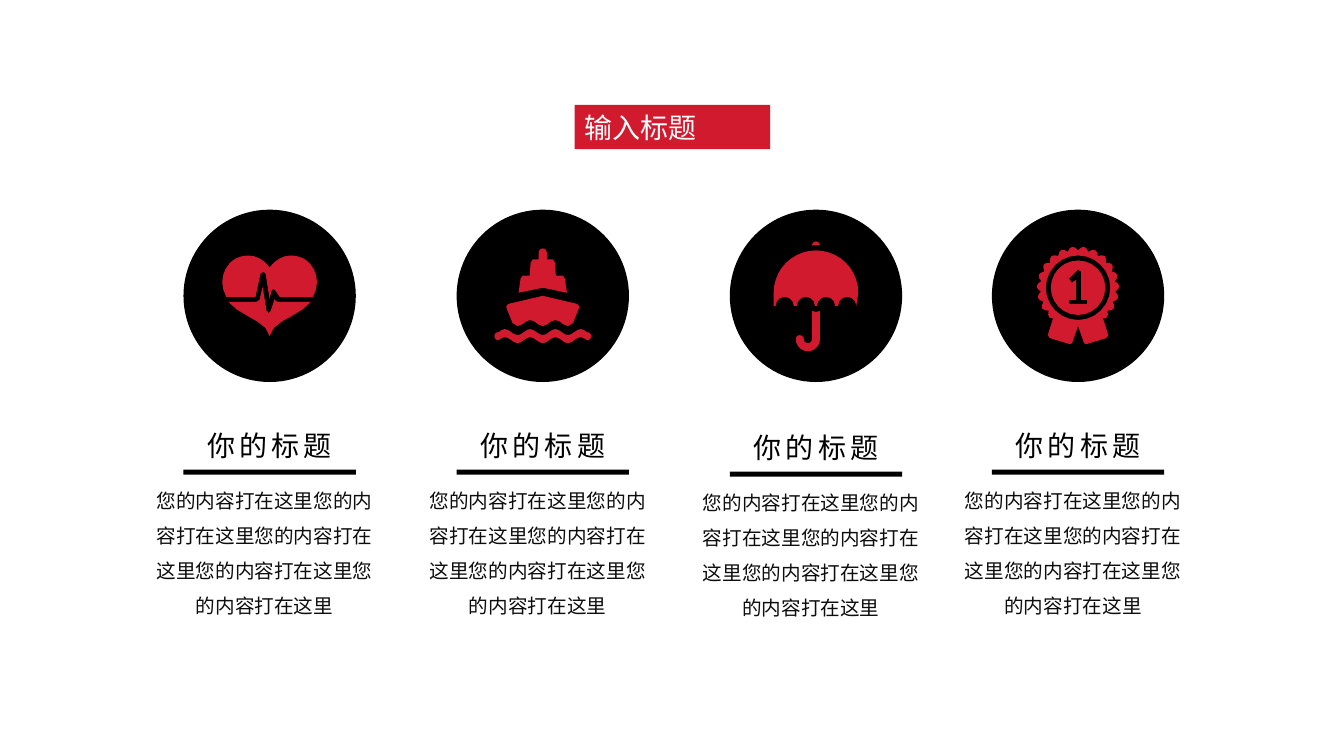
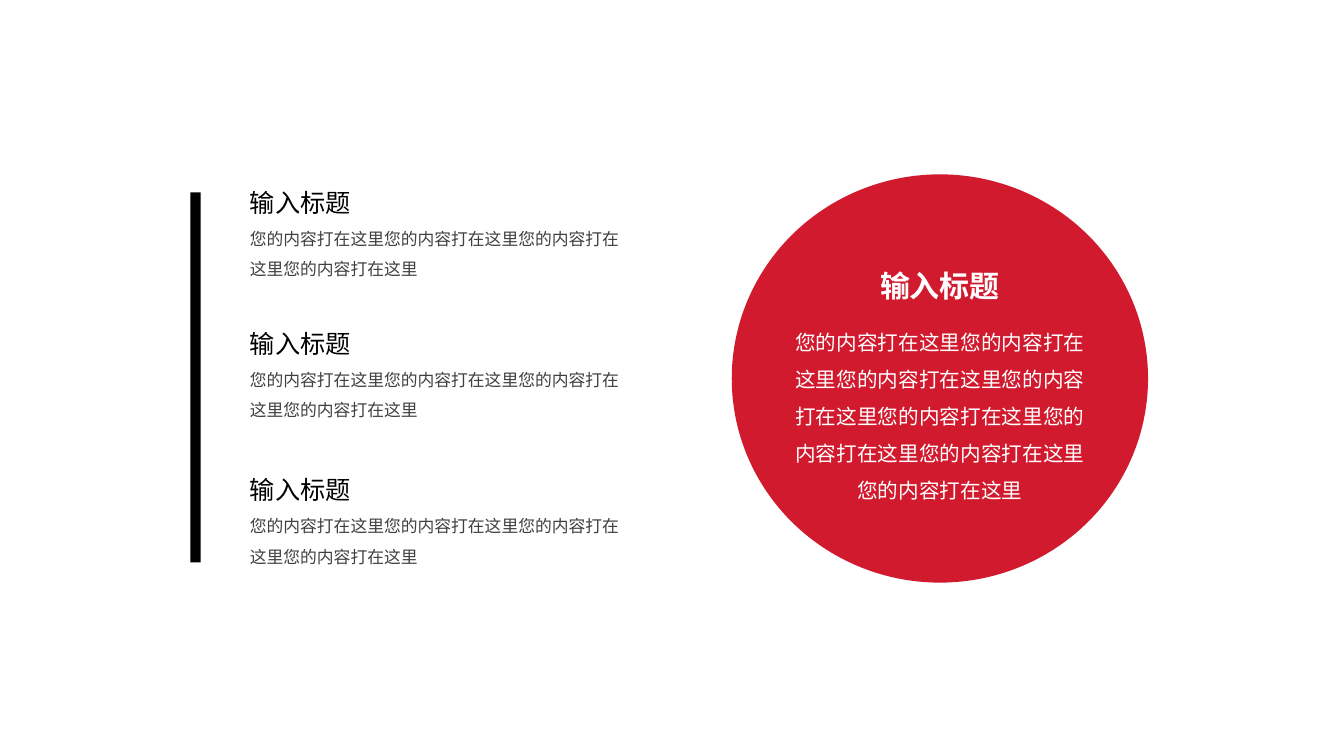
from math import cos, pi, radians, sin

from lxml import etree
from pptx import Presentation
from pptx.dml.color import RGBColor
from pptx.enum.shapes import MSO_SHAPE
from pptx.enum.text import MSO_ANCHOR, PP_ALIGN
from pptx.oxml.ns import qn
from pptx.util import Inches, Pt

RECT, OVAL = MSO_SHAPE.RECTANGLE, MSO_SHAPE.OVAL
LEFT, CENTER = PP_ALIGN.LEFT, PP_ALIGN.CENTER
TOP, MIDDLE = MSO_ANCHOR.TOP, MSO_ANCHOR.MIDDLE

RED = RGBColor(0xD1, 0x1A, 0x2E)
BLACK = RGBColor(0x00, 0x00, 0x00)
INK = RGBColor(0x0D, 0x0D, 0x0D)
GRAY = RGBColor(0x40, 0x40, 0x40)
WHITE = RGBColor(0xFF, 0xFF, 0xFF)
FONT = "Noto Sans CJK SC"

TITLE = "输入标题"
HEAD = "你的标题"
BODY = "您的内容打在这里"

DISC = 1.71
DISC_TOP = 2.08
UNIT = 1000  # freeform steps per inch


# Text and plain shapes
def style(frame, text, size, color, align=LEFT, font=FONT, bold=False,
          line=None, space=None):
    para = frame.paragraphs[0]
    para.text = text
    para.alignment = align
    if line:
        para.line_spacing = line
    para.font.size = Pt(size)
    para.font.bold = bold
    para.font.color.rgb = color
    para.font.name = font
    props = para._p.pPr.find(qn("a:defRPr"))
    etree.SubElement(props, qn("a:ea")).set("typeface", font)
    if space:
        props.set("spc", str(space * 100))


def add_text(slide, box, text, size, color, anchor=TOP, **look):
    frame = slide.shapes.add_textbox(*map(Inches, box)).text_frame
    frame.word_wrap = True
    frame.vertical_anchor = anchor
    style(frame, text, size, color, **look)


def paint(shape, color):
    shape.shadow.inherit = False
    shape.fill.solid()
    shape.fill.fore_color.rgb = color
    shape.line.fill.background()
    return shape


def add_shape(slide, kind, box, color):
    return paint(slide.shapes.add_shape(kind, *map(Inches, box)), color)


# Outlines, in inches from the centre of a disc
def arc(x, y, r, start, end, steps=6):
    turns = [radians(start + (end - start) * i / steps)
             for i in range(steps + 1)]
    return [(x + r * cos(t), y + r * sin(t)) for t in turns]


def curve(a, b, c, d, steps=5):
    points = []
    for i in range(steps + 1):
        t = i / steps
        u = 1 - t
        mix = (u ** 3, 3 * u * u * t, 3 * u * t * t, t ** 3)
        points.append(tuple(sum(m * p[k] for m, p in zip(mix, (a, b, c, d)))
                            for k in (0, 1)))
    return points


def wave(level, reach, steps):
    xs = [reach * (2 * i / steps - 1) for i in range(steps + 1)]
    return [(x, level + 0.03 * cos(8 * pi * x)) for x in xs]


def flip(points):
    return [(-x, y) for x, y in reversed(points)]


def mirror(half):
    return half + flip(half)


def add_icon(slide, x, y, outlines):
    build = None
    for outline in outlines:
        points = [(round(a * UNIT), round(b * UNIT)) for a, b in outline]
        if build is None:
            build = slide.shapes.build_freeform(
                *points[0], scale=Inches(1) / UNIT)
        else:
            build.move_to(*points[0])
        build.add_line_segments(points[1:], close=True)
    paint(build.convert_to_shape(Inches(x), Inches(y)), RED)


# Icons
def heart():
    lobe = (curve((0, -0.28), (0.03, -0.32), (0.1, -0.4), (0.21, -0.4))
            + curve((0.21, -0.4), (0.29, -0.4), (0.35, -0.37), (0.4, -0.32))
            + curve((0.4, -0.32), (0.47, -0.24), (0.5, -0.11), (0.43, 0.01)))
    pulse = [(0.1, 0.01), (0.06, -0.05), (0.04, -0.07), (0.02, -0.05),
             (0, 0.03), (-0.04, -0.22), (-0.06, -0.24), (-0.09, -0.22),
             (-0.14, 0.01)]
    beat = [(-0.13, 0.06), (-0.1, 0.04), (-0.07, -0.09), (-0.03, 0.15),
            (-0.01, 0.17), (0.01, 0.15), (0.05, 0.03), (0.06, 0.05),
            (0.08, 0.06)]
    point = curve((0.41, 0.06), (0.3, 0.2), (0.02, 0.25), (0, 0.4))
    return [lobe + pulse + flip(lobe), beat + mirror(point)]


def ship():
    tower = arc(0, -0.43, 0.04, -90, 0, 3) + [
        (0.04, -0.36), (0.1, -0.36), (0.12, -0.33), (0.13, -0.2),
        (0.2, -0.2), (0.22, -0.17), (0.24, -0.03), (0, -0.08)]
    side = [(0, 0), (0.34, 0.08), (0.36, 0.1), (0.36, 0.12), (0.3, 0.27)]
    hull = side + wave(0.27, 0.25, 12)[::-1] + flip(side)
    crest, base = wave(0.36, 0.44, 28), wave(0.44, 0.44, 28)
    sea = (crest + arc(0.44, 0.4, 0.04, -90, 90)
           + base[::-1] + arc(-0.44, 0.4, 0.04, 90, 270))
    return [mirror(tower), hull, sea]


def umbrella():
    canopy = arc(0, -0.03, 0.42, 180, 360, 20)
    for x in (0.31, 0.1, -0.1, -0.31):
        canopy += arc(x, 0.1, 0.09, 0, -180)
    canopy.append((-0.42, 0.1))
    handle = ([(-0.04, 0.15), (0, 0.16), (0.04, 0.15)]
              + arc(-0.08, 0.43, 0.12, 0, 180, 10)
              + arc(-0.16, 0.43, 0.04, 180, 360)
              + arc(-0.08, 0.43, 0.04, 180, 0))
    tip = arc(0, -0.5, 0.04, 180, 360)
    return [canopy, handle, tip]


def badge():
    mid, bump = -0.08, 16
    edge = []
    for turn in range(-9 * bump, 9 * bump + 1, 4):
        r = 0.37 + 0.04 * abs(sin(pi * turn / bump))
        edge.append((r * sin(radians(turn)), mid - r * cos(radians(turn))))
    tail = [(0.25, 0.23), (0.3, 0.39), (0.28, 0.42), (0.08, 0.48),
            (0.06, 0.47), (0, 0.3)]
    one = [(-0.09, 0.08), (0.09, 0.08), (0.09, 0.04), (0.03, 0.04),
           (0.03, -0.24), (0, -0.26), (-0.09, -0.17), (-0.06, -0.13),
           (-0.02, -0.16), (-0.02, 0.04), (-0.09, 0.04)]
    rings = [arc(0, mid, r, 0, 360, 24) for r in (0.32, 0.27)]
    return [edge + mirror(tail), *rings, one]


# Parts of the slides
def add_column(slide, left, drop, icon):
    add_shape(slide, OVAL, (left, DISC_TOP, DISC, DISC), BLACK)
    add_icon(slide, left + DISC / 2, DISC_TOP + DISC / 2, icon())
    add_text(slide, (left, 4.15 + drop, DISC, 0.53), HEAD, 20, BLACK,
             MIDDLE, align=CENTER, space=3)
    add_shape(slide, RECT, (left, 4.66 + drop, DISC, 0.05), BLACK)
    add_text(slide, (left - 0.37, 4.68 + drop, 2.35, 1.48), BODY * 5, 14,
             INK, align=CENTER, line=1.5)


def add_entry(slide, top):
    add_text(slide, (2.38, top, 3.18, 0.4), TITLE, 18, BLACK)
    add_text(slide, (2.38, top + 0.31, 4.01, 0.68), BODY * 4, 12, GRAY,
             line=1.5)


def icon_slide(slide):
    label = add_shape(slide, RECT, (5.7, 1.04, 1.94, 0.44), RED)
    style(label.text_frame, TITLE, 20, WHITE)
    columns = ((1.82, 0, heart), (4.53, 0, ship),
               (7.24, 0.02, umbrella), (9.84, 0, badge))
    for left, drop, icon in columns:
        add_column(slide, left, drop, icon)


def list_slide(slide):
    add_shape(slide, RECT, (1.89, 1.91, 0.1, 3.67), BLACK)
    for top in (1.81, 3.21, 4.66):
        add_entry(slide, top)
    add_shape(slide, OVAL, (7.26, 1.73, 4.13, 4.05), RED)
    add_text(slide, (8.61, 2.61, 1.43, 0.46), TITLE, 21.4, WHITE,
             align=CENTER, font="Arial", bold=True)
    add_text(slide, (7.75, 3.1, 3.15, 1.95), BODY * 8, 14.7, WHITE,
             align=CENTER, line=1.5)


def main():
    deck = Presentation()
    deck.slide_width, deck.slide_height = Inches(40 / 3), Inches(7.5)
    for fill in (icon_slide, list_slide):
        fill(deck.slides.add_slide(deck.slide_layouts[6]))
    deck.save("out.pptx")


if __name__ == "__main__":
    main()
